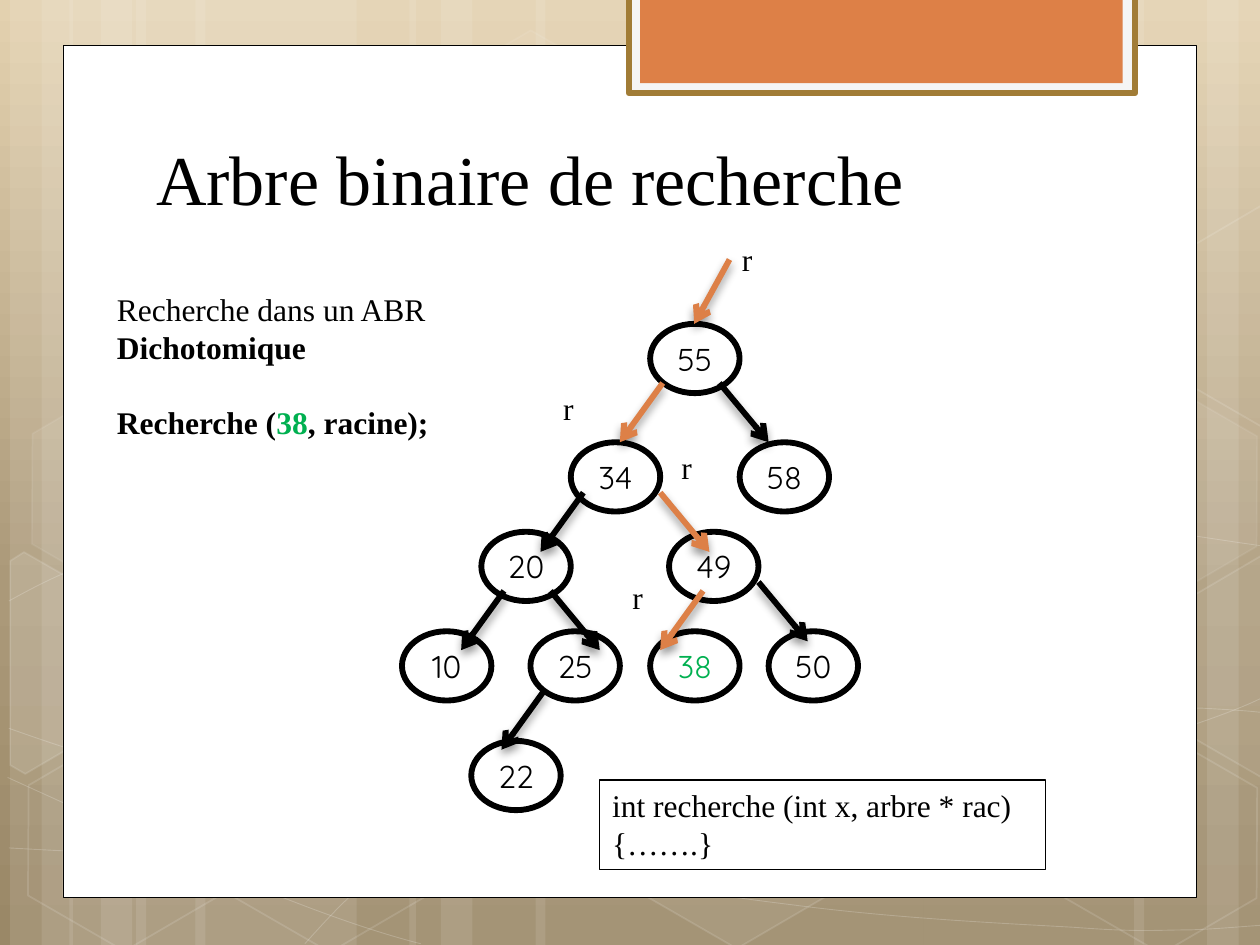
from math import cos, radians, sin

from lxml import etree
from pptx import Presentation
from pptx.dml.color import RGBColor
from pptx.enum.shapes import MSO_CONNECTOR, MSO_SHAPE
from pptx.enum.text import MSO_ANCHOR, PP_ALIGN
from pptx.oxml import parse_xml
from pptx.oxml.ns import qn
from pptx.util import Inches, Pt

RECT, OVAL, HEXAGON = MSO_SHAPE.RECTANGLE, MSO_SHAPE.OVAL, MSO_SHAPE.HEXAGON
STRAIGHT = MSO_CONNECTOR.STRAIGHT
TOP, MIDDLE, BOTTOM = MSO_ANCHOR.TOP, MSO_ANCHOR.MIDDLE, MSO_ANCHOR.BOTTOM
LEFT, CENTER = PP_ALIGN.LEFT, PP_ALIGN.CENTER
A_NS = "http://schemas.openxmlformats.org/drawingml/2006/main"
BLACK, WHITE, ORANGE, GREEN = "000000", "FFFFFF", "DD8047", "00B050"
SERIF, ROUNDED = "Times New Roman", "Quicksand"
STROKE, TILT = 3.35, 30

# Backdrop
SKY = [(0, "E3D1AF"), (62, "AB9979"), (100, "9A8867")]
STRIPES = [(1.08, 1.75, 0), (0.08, 0.5, 0), (0.33, 0.83, 0), (1.55, 1.75, 0),
           (0.55, 0.5, 0), (0.8, 0.83, 0), (7.33, 1.75, 180), (9.58, 0.5, 180),
           (9, 0.83, 180), (4.25, 3.08, 0), (3.25, 0.5, 0), (3.5, 0.83, 0)]
# Each wave: a start point, then groups of three Bezier points
WAVES = [
    [(0.07, 6.73), (0.61, 6.76), (1.15, 6.79), (1.9, 6.78), (2.65, 6.77), (3.58, 6.75),
     (4.58, 6.65), (5.58, 6.55), (7, 6.36), (7.92, 6.17), (8.83, 5.98), (9.77, 5.68),
     (10.07, 5.51)],
    [(0.07, 4.77), (0.36, 4.61), (0.65, 4.46), (1.21, 4.31), (1.78, 4.16), (2.59, 3.94),
     (3.47, 3.87), (4.36, 3.8), (5.44, 3.79), (6.54, 3.87), (7.64, 3.95), (9.47, 4.26),
     (10.07, 4.34)],
    [(0.06, 6.17), (1.27, 6.72), (2.47, 7.27), (3.34, 7.49)],
    [(0.07, 5.78), (0.38, 5.89), (0.7, 6), (1.28, 6.16), (1.86, 6.31), (2.73, 6.56),
     (3.57, 6.73), (4.4, 6.9), (5.45, 7.08), (6.28, 7.18), (7.11, 7.29), (8, 7.33),
     (8.53, 7.36), (9.05, 7.4), (9.19, 7.38), (9.45, 7.38), (9.71, 7.37), (9.89, 7.35),
     (10.07, 7.34)],
    [(2.42, 7.49), (2.6, 7.29), (2.78, 7.09), (3.02, 6.91), (3.26, 6.73), (3.6, 6.53),
     (3.88, 6.39), (4.16, 6.25), (4.33, 6.19), (4.7, 6.09), (5.06, 5.99), (5.73, 5.85),
     (6.08, 5.78), (6.44, 5.71), (6.49, 5.71), (6.8, 5.69), (7.11, 5.66), (7.6, 5.63),
     (7.94, 5.62), (8.29, 5.61), (8.86, 5.62), (8.86, 5.62), (9.08, 5.62), (9.3, 5.62),
     (9.53, 5.62), (9.71, 5.63), (9.88, 5.64), (9.97, 5.65), (10.06, 5.66), (10.03, 5.65),
     (10.06, 5.66)],
]
# left, top, fill opacity, line opacity
HEXAGONS = [(3.34, 0.36, 4, 8), (4.97, 5.89, 6, 12), (0.11, 5.91, None, 12),
            (0.14, 3.12, 7, 8), (1.74, 5.92, None, 12), (7.53, 4.53, 10, 12),
            (8.34, 5.93, None, 12), (8.34, 3.14, 7, 8)]
# corners as they appear, centre of the tilt, fill opacity
CUT_HEXAGONS = [
    ([(0.08, 4.45), (0.19, 4.38), (0.96, 4.82), (0.95, 5.7), (0.2, 6.14), (0.08, 6.07)],
     (0.36, 5.35), 10),
    ([(9.26, 4.85), (10.01, 4.41), (10.09, 4.46), (10.09, 6.13), (10.02, 6.17), (9.26, 5.73)],
     (9.85, 5.2), 4),
    ([(9.26, 2.07), (10.01, 1.63), (10.1, 1.68), (10.09, 3.35), (10.02, 3.39), (9.26, 2.95)],
     (9.85, 2.41), None),
]

# Search tree
NODES = {"55": (5.16, 2.57), "34": (4.53, 3.51), "58": (5.87, 3.51), "20": (3.82, 4.22),
         "49": (5.31, 4.22), "10": (3.19, 5.01), "25": (4.21, 5.01), "38": (5.16, 5.01),
         "50": (6.1, 5.01), "22": (3.74, 5.88)}
TARGET = "38"
TO_LEFT, TO_RIGHT, TO_ROOT = (-0.34, 0.47), (0.39, 0.47), (-0.28, 0.51)
BRANCHES = [  # start, direction, colour
    ((5.71, 3.04), TO_RIGHT, BLACK), ((5.26, 3.04), TO_LEFT, ORANGE),
    ((4.63, 3.91), TO_LEFT, BLACK), ((4, 4.69), TO_LEFT, BLACK),
    ((5.58, 4.69), TO_LEFT, ORANGE), ((4.37, 4.69), TO_RIGHT, BLACK),
    ((5.24, 3.91), TO_RIGHT, ORANGE), ((6.02, 4.62), TO_RIGHT, BLACK),
    ((4.32, 5.48), TO_LEFT, BLACK), ((5.79, 2.06), TO_ROOT, ORANGE)]
R_MARKS = [(5.79, 1.86), (5.31, 3.51), (4.37, 3.04), (4.92, 4.54)]

# Paragraphs: runs of (text, colour), bold, space before
TITLE = [([("Arbre binaire de recherche", BLACK)], False, 0)]
METHOD = [([("Recherche dans un ABR", BLACK)], False, 0),
          ([("Dichotomique", BLACK)], True, 0),
          ([("Recherche (", BLACK), (TARGET, GREEN), (", racine);", BLACK)], True, 21.6)]
SIGNATURE = [([("int recherche (int x, arbre * rac)", BLACK)], False, 0),
             ([("{…….}", BLACK)], False, 0)]


def paint(fmt, color, opacity=None):
    """Give a fill a solid colour, or none, with an opacity in percent."""
    if color is None:
        fmt.background()
        return
    fmt.solid()
    fmt.fore_color.rgb = RGBColor.from_string(color)
    if opacity is not None:
        srgb = fmt._xPr.find(".//" + qn("a:srgbClr"))
        etree.SubElement(srgb, qn("a:alpha"), val=str(opacity * 1000))


def style(shape, fill=None, line=None, width=1.0, opacity=None, line_opacity=None):
    """Set fill and outline, and drop the shadow."""
    shape.shadow.inherit = False
    paint(shape.fill, fill, opacity)
    paint(shape.line.fill, line, line_opacity)
    if line:
        shape.line.width = Pt(width)


def add_preset(kind, box, **look):
    """Add a styled preset shape at left, top, width, height."""
    shape = shapes.add_shape(kind, *map(Inches, box))
    style(shape, **look)
    return shape


def add_outline(points, close, **look):
    """Add a styled freeform through points given in inches."""
    corners = [(Inches(x), Inches(y)) for x, y in points]
    builder = shapes.build_freeform(*corners[0])
    builder.add_line_segments(corners[1:], close=close)
    outline = builder.convert_to_shape()
    style(outline, **look)
    return outline


def curve(outline):
    """Turn each three line segments of a freeform into one Bezier curve."""
    segments = list(outline._element.iter(qn("a:lnTo")))
    for i in range(0, len(segments), 3):
        bezier = etree.Element(qn("a:cubicBezTo"))
        segments[i].addprevious(bezier)
        for segment in segments[i:i + 3]:
            bezier.append(segment[0])
            segment.getparent().remove(segment)


def turn(point, centre, degrees):
    """Rotate a point about a centre."""
    dx, dy = point[0] - centre[0], point[1] - centre[1]
    c, s = cos(radians(degrees)), sin(radians(degrees))
    return centre[0] + dx * c - dy * s, centre[1] + dx * s + dy * c


def write(shape, paragraphs, font=SERIF, size=18, align=LEFT, anchor=TOP):
    """Fill a text frame with paragraphs."""
    frame = shape.text_frame
    frame.word_wrap = True
    frame.vertical_anchor = anchor
    for i, (runs, bold, gap) in enumerate(paragraphs):
        para = frame.add_paragraph() if i else frame.paragraphs[0]
        para.alignment, para.space_before = align, Pt(gap)
        para.font.name, para.font.size, para.font.bold = font, Pt(size), bold
        for text, color in runs:
            run = para.add_run()
            run.text = text
            run.font.color.rgb = RGBColor.from_string(color)


def add_arrow(start, direction, color):
    """Add a shadowed arrow from start along direction."""
    end = [a + b for a, b in zip(start, direction)]
    arrow = shapes.add_connector(STRAIGHT, *map(Inches, (*start, *end)))
    paint(arrow.line.fill, color)
    arrow.line.width = Pt(STROKE)
    etree.SubElement(arrow.line._get_or_add_ln(), qn("a:tailEnd"), type="arrow")
    arrow._element.spPr.append(parse_xml(
        f'<a:effectLst xmlns:a="{A_NS}"><a:outerShdw blurRad="{Pt(5.2)}" dist="{Pt(3)}" '
        'dir="5400000" rotWithShape="0"><a:srgbClr val="000000"><a:alpha val="40000"/>'
        '</a:srgbClr></a:outerShdw></a:effectLst>'))


prs = Presentation()
prs.slide_width, prs.slide_height = Inches(10), Inches(7.5)
slide = prs.slides.add_slide(prs.slide_layouts[5])
shapes = slide.shapes

sky = slide.background.fill
sky.gradient()
sky.gradient_angle = 270
stops = sky._xPr.find(".//" + qn("a:gsLst"))
for stop in list(stops):
    stops.remove(stop)
for position, color in SKY:
    stop = etree.SubElement(stops, qn("a:gs"), pos=str(position * 1000))
    etree.SubElement(stop, qn("a:srgbClr"), val=color)

for left, width, angle in STRIPES:
    add_preset(RECT, (left, 0, width, 7.5), fill=WHITE, opacity=10).rotation = angle
for wave in WAVES:
    curve(add_outline(wave, False, line=WHITE, width=0.5, line_opacity=20))
for left, top, opacity, line_opacity in HEXAGONS:
    cell = add_preset(HEXAGON, (left, top, 1.75, 1.52), fill=WHITE if opacity else None,
                      opacity=opacity, line=WHITE, line_opacity=line_opacity)
    cell.adjustments[0] = 0.285
    cell.rotation = TILT
for corners, centre, opacity in CUT_HEXAGONS:
    upright = [turn(corner, centre, -TILT) for corner in corners]
    add_outline(upright, True, fill=WHITE if opacity else None, opacity=opacity,
                line=WHITE, line_opacity=12).rotation = TILT

add_preset(RECT, (0.5, 0.36, 9, 6.76), fill=WHITE, line=BLACK, width=0.5)
add_preset(RECT, (4.99, -0.02, 4.02, 0.76), fill="F5F5F5", line="A17C36", width=STROKE)
add_preset(RECT, (5.08, -0.02, 3.83, 0.68), fill=ORANGE)

title = shapes.title
title.left, title.top, title.width, title.height = map(Inches, (1.14, 0.85, 7.68, 0.94))
write(title, TITLE, size=40, anchor=BOTTOM)
shapes._spTree.append(title._element)

for key, (left, top) in NODES.items():
    node = add_preset(OVAL, (left, top, 0.71, 0.55), fill=WHITE, line=BLACK, width=STROKE)
    node.text_frame.margin_left = node.text_frame.margin_right = 0
    write(node, [([(key, GREEN if key == TARGET else BLACK)], False, 0)],
          ROUNDED, align=CENTER, anchor=MIDDLE)
for branch in BRANCHES:
    add_arrow(*branch)
for left, top in R_MARKS:
    write(shapes.add_textbox(*map(Inches, (left, top, 0.39, 0.4))), [([("r", BLACK)], False, 0)])

write(shapes.add_textbox(*map(Inches, (0.83, 2.25, 5, 1.31))), METHOD)
write(add_preset(RECT, (4.76, 6.19, 3.54, 0.71), line=BLACK, width=0.75), SIGNATURE)

prs.save("out.pptx")
